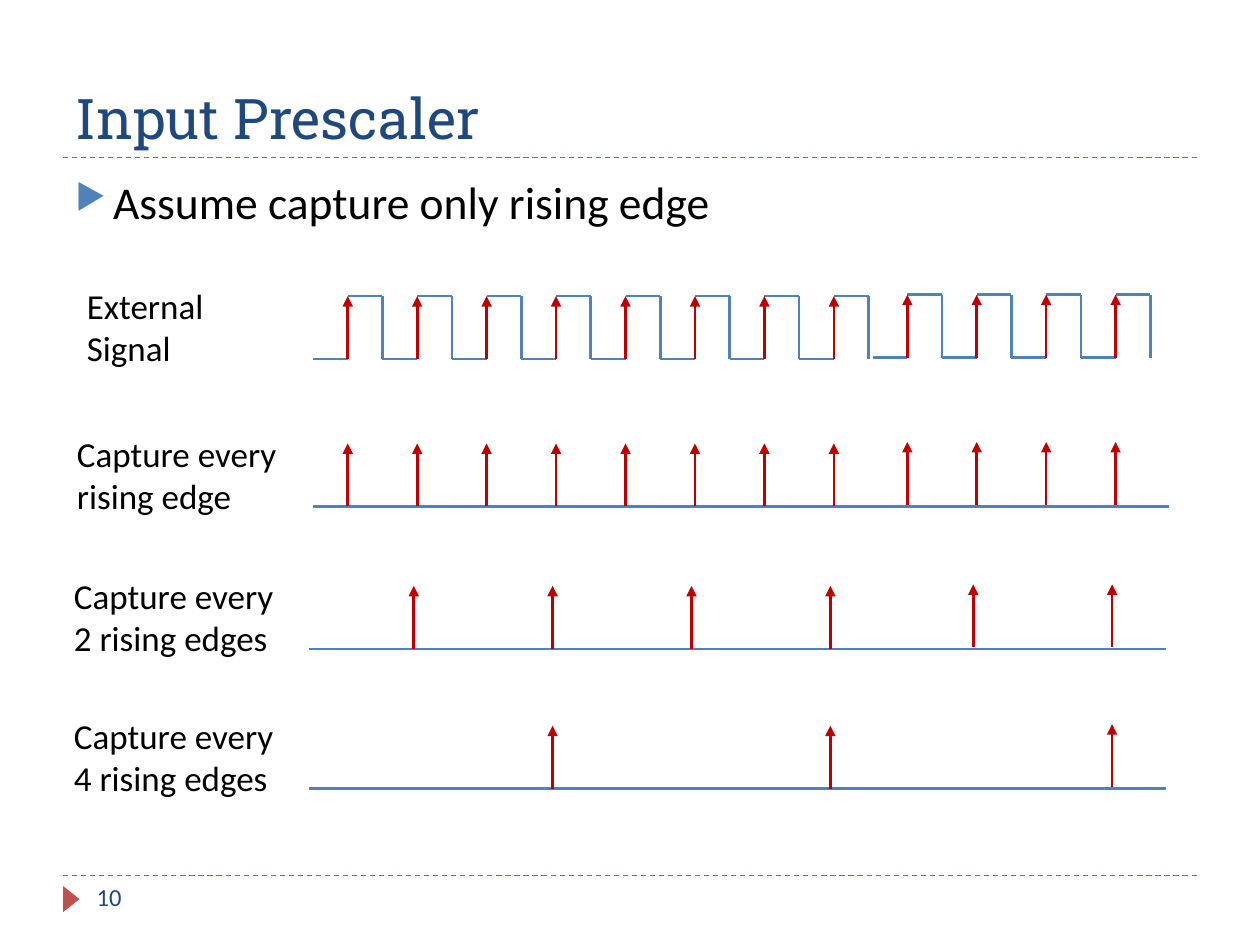
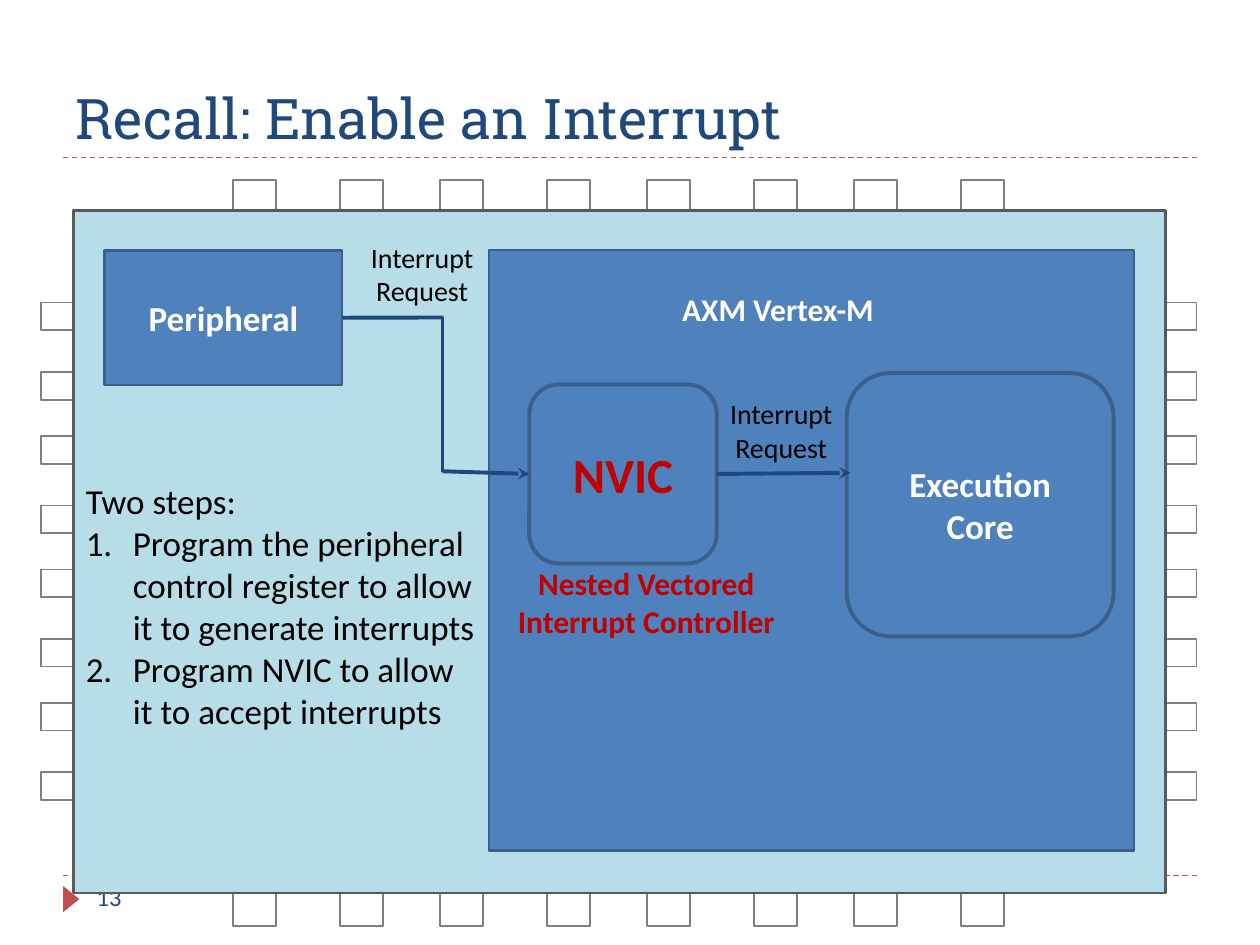
from lxml import etree
from pptx import Presentation
from pptx.dml.color import RGBColor
from pptx.enum.dml import MSO_LINE
from pptx.enum.shapes import MSO_CONNECTOR, MSO_SHAPE
from pptx.enum.text import MSO_ANCHOR, PP_ALIGN
from pptx.oxml import parse_xml
from pptx.oxml.ns import qn
from pptx.util import Cm, Pt

STRAIGHT = MSO_CONNECTOR.STRAIGHT
DASH = MSO_LINE.DASH
RECTANGLE, ROUNDED, TRIANGLE = MSO_SHAPE.RECTANGLE, MSO_SHAPE.ROUNDED_RECTANGLE, MSO_SHAPE.ISOSCELES_TRIANGLE
TOP, MIDDLE, BOTTOM = MSO_ANCHOR.TOP, MSO_ANCHOR.MIDDLE, MSO_ANCHOR.BOTTOM
LEFT, CENTER = PP_ALIGN.LEFT, PP_ALIGN.CENTER

COLOURS = {
    "navy": "1F497D", "blue": "4F81BD", "edge": "3A5F8C", "brick": "C0504D", "red": "C00000",
    "chip": "B7DEE8", "chip edge": "595959", "pin": "808080", "black": "000000", "white": "FFFFFF",
}
BODY_FONT, TITLE_FONT = "Calibri", "Roboto Slab"
NAMESPACE = 'xmlns:a="http://schemas.openxmlformats.org/drawingml/2006/main"'
ARROW_BULLET = [
    f'<a:buClr {NAMESPACE}><a:srgbClr val="{COLOURS["blue"]}"/></a:buClr>',
    f'<a:buSzPct {NAMESPACE} val="76000"/>',
    f'<a:buChar {NAMESPACE} char="▶"/>',
]
NUMBERING = [f'<a:buAutoNum {NAMESPACE} type="arabicPeriod"/>']


def add_line(page, x1, y1, x2, y2, colour, width, head=None):
    line = page.shapes.add_connector(STRAIGHT, Cm(x1), Cm(y1), Cm(x2), Cm(y2))
    line.line.color.rgb = RGBColor.from_string(COLOURS[colour])
    line.line.width = Pt(width)
    etree.SubElement(line._element.spPr, qn("a:effectLst"))
    if head:
        etree.SubElement(line.line._get_or_add_ln(), qn("a:tailEnd"), type=head)
    return line


def add_box(page, place, lines=(), size=20, colour="black", bold=False, align=LEFT, anchor=TOP,
            font=BODY_FONT, wrap=True, kind=None, fill=None, edge=None, edge_width=1.5,
            bullet=None, indent=0, first_bullet=0):
    """Add a preset shape, or a text box when kind is None; place is left, top, width, height in cm."""
    place = [Cm(length) for length in place]
    if kind is None:
        box = page.shapes.add_textbox(*place)
    else:
        box = page.shapes.add_shape(kind, *place)
        box.shadow.inherit = False
        if fill:
            box.fill.solid()
            box.fill.fore_color.rgb = RGBColor.from_string(COLOURS[fill])
        else:
            box.fill.background()
        if edge:
            box.line.color.rgb = RGBColor.from_string(COLOURS[edge])
            box.line.width = Pt(edge_width)
        else:
            box.line.fill.background()
    frame = box.text_frame
    frame.word_wrap = wrap
    frame.vertical_anchor = anchor
    for number, text in enumerate(lines):
        para = frame.add_paragraph() if number else frame.paragraphs[0]
        para.add_run().text = text
        para.alignment = align
        if bullet and number >= first_bullet:
            properties = para._p.get_or_add_pPr()
            properties.set("marL", str(Cm(indent)))
            properties.set("indent", str(-Cm(indent)))
            for part in bullet:
                properties.append(parse_xml(part))
        para.font.name = font
        para.font.size = Pt(size)
        para.font.bold = bold
        para.font.color.rgb = RGBColor.from_string(COLOURS[colour])
    return box


deck = Presentation()
deck.slide_width, deck.slide_height = Cm(25.4), Cm(19.05)

# Shared frame: rules, title, marker and page number
pages = []
for title, page_number in (("Input Prescaler", "10"), ("Recall: Enable an Interrupt", "13")):
    page = deck.slides.add_slide(deck.slide_layouts[6])
    for rule_y in (17.65, 3.17):
        add_line(page, 1.27, rule_y, 24.13, rule_y, "brick", 0.75).line.dash_style = DASH
    add_box(page, (1.17, 17.96, 0.53, 0.33), kind=TRIANGLE, fill="brick").rotation = 90
    add_box(page, (1.27, 0.43, 22.86, 2.74), [title], 32, "navy", anchor=BOTTOM, font=TITLE_FONT)
    add_box(page, (1.7, 17.65, 5.51, 1.02), [page_number], 14, "navy")
    pages.append(page)
prescaler_page, interrupt_page = pages

# Input prescaler: timing diagram
add_box(prescaler_page, (1.27, 3.38, 22.86, 1.47), ["Assume capture only rising edge"], 26,
        bullet=ARROW_BULLET, indent=0.76)

PERIOD, PULSE_HEIGHT, PULSE_COUNT = 1.4, 1.27, 12
HALF = PERIOD / 2
FIRST_EDGE = 7.01
signal_rows = [  # label, label left, label width, baseline, shift, edges per capture
    ("External Signal", 1.5, 3.35, 7.24, 0, 1),
    ("Capture every rising edge", 1.3, 4.67, 10.21, 0, 1),
    ("Capture every 2 rising edges", 1.24, 4.67, 13.08, -0.07, 2),
    ("Capture every 4 rising edges", 1.24, 4.67, 15.9, -0.07, 4),
]
for label, label_left, label_width, baseline, shift, step in signal_rows:
    is_source = label == "External Signal"
    add_box(prescaler_page, (label_left, baseline - 1.62, label_width, 1.96), [label])
    if not is_source:
        add_line(prescaler_page, 6.3 + shift, baseline, 23.57 + shift, baseline, "blue", 1.5)
    for pulse in range(step - 1, PULSE_COUNT, step):
        # The last four pulses sit slightly later and higher
        late = pulse >= 8
        x = FIRST_EDGE + PERIOD * pulse + shift + (0.08 if late else 0)
        low = baseline - (0.03 if late else 0)
        high = low - PULSE_HEIGHT
        if is_source:
            add_line(prescaler_page, x - HALF, low, x, low, "blue", 1.5)
            add_line(prescaler_page, x, high, x + HALF, high, "blue", 1.5)
            add_line(prescaler_page, x + HALF, low, x + HALF, high, "blue", 1.5)
        add_line(prescaler_page, x, low, x, high, "red", 1.5, "triangle")

# Interrupt: chip with pins in pairs on every side
for pair in range(4):
    for second in range(2):
        pin_places = [
            (4.7 + 4.17 * pair + 2.16 * second, 3.63, 0.87, 15.04),
            (0.83, 6.1 + 2.69 * pair + 1.4 * second, 23.29, 0.56),
        ]
        for place in pin_places:
            add_box(interrupt_page, place, kind=RECTANGLE, edge="pin", edge_width=1)
add_box(interrupt_page, (1.48, 4.24, 22.02, 13.76), kind=RECTANGLE, fill="chip", edge="chip edge")

block = dict(bold=True, align=CENTER, anchor=MIDDLE, edge="edge")
peripheral = add_box(interrupt_page, (2.11, 5.05, 4.79, 2.71), ["Peripheral"], 20, "white",
                     kind=RECTANGLE, fill="blue", **block)
add_box(interrupt_page, (9.86, 5.04, 13, 12.11), kind=RECTANGLE, fill="blue", edge="edge")
add_box(interrupt_page, (13.13, 5.72, 5.11, 1.02), ["AXM Vertex-M"], 18, "white",
        bold=True, align=CENTER, wrap=False)
add_box(interrupt_page, (17.07, 7.52, 5.38, 5.31), ["Execution", "Core"], 20, "white",
        kind=ROUNDED, edge_width=2.25, **block)
nvic = add_box(interrupt_page, (10.67, 7.75, 3.78, 3.61), ["NVIC"], 28, "red",
               kind=ROUNDED, edge_width=2.25, **block)

# Request path: peripheral to NVIC, then NVIC to core
add_line(interrupt_page, 8.92, 9.5, 10.67, 9.5, "navy", 2.25, "stealth").end_connect(nvic, 1)
add_line(interrupt_page, 6.9, 6.4, 8.94, 6.4, "navy", 2.25).begin_connect(peripheral, 3)
add_line(interrupt_page, 8.92, 9.52, 8.92, 6.4, "navy", 2.25)
add_line(interrupt_page, 14.45, 9.55, 17.15, 9.53, "navy", 2.25, "stealth").begin_connect(nvic, 3)
for left, top in ((6.91, 4.72), (14.15, 7.87)):
    add_box(interrupt_page, (left, top, 3.2, 1.63), ["Interrupt Request"], 16, align=CENTER)

add_box(interrupt_page, (9.73, 11.25, 6.6, 1.8), ["Nested Vectored Interrupt Controller"], 18, "red",
        bold=True, align=CENTER)
steps = [
    "Two steps:",
    "Program the peripheral control register to allow it to generate interrupts",
    "Program NVIC to allow it to accept interrupts",
]
add_box(interrupt_page, (1.48, 9.55, 8.46, 5.38), steps, bullet=NUMBERING, indent=0.95, first_bullet=1)

deck.save("out.pptx")
